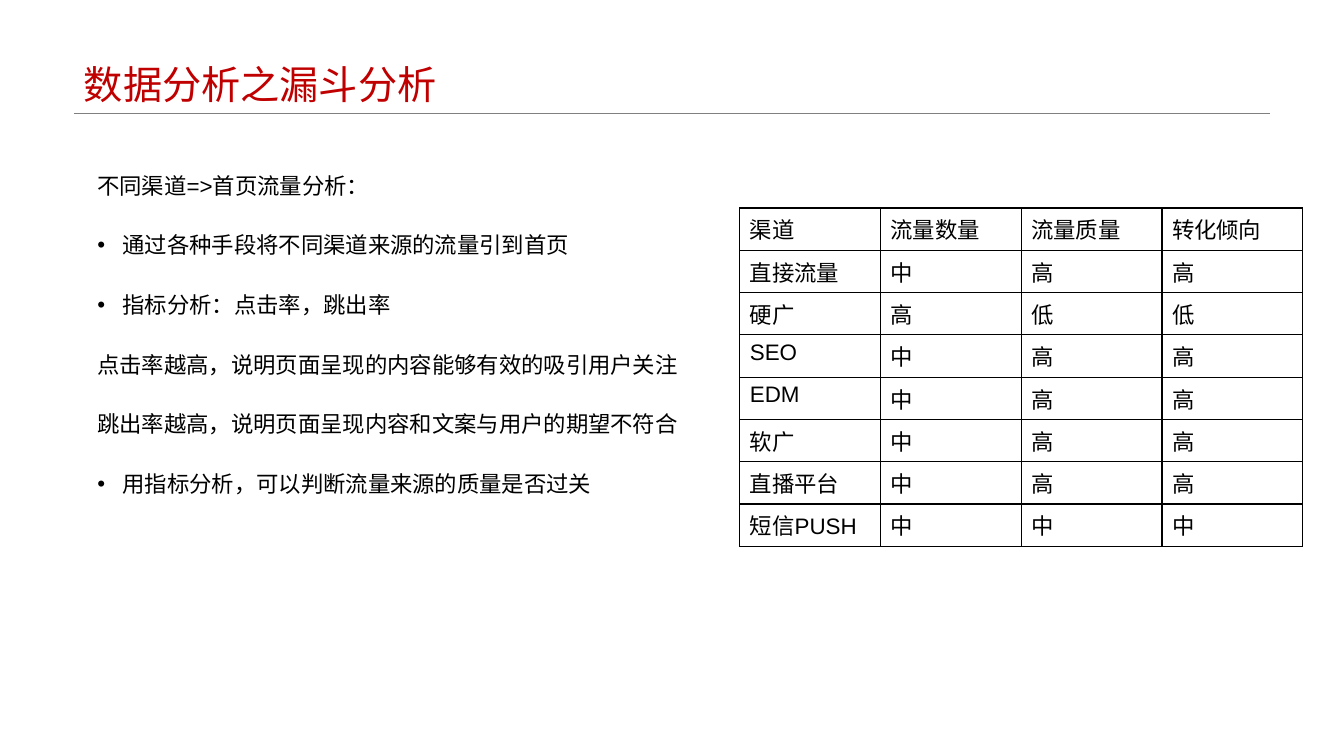
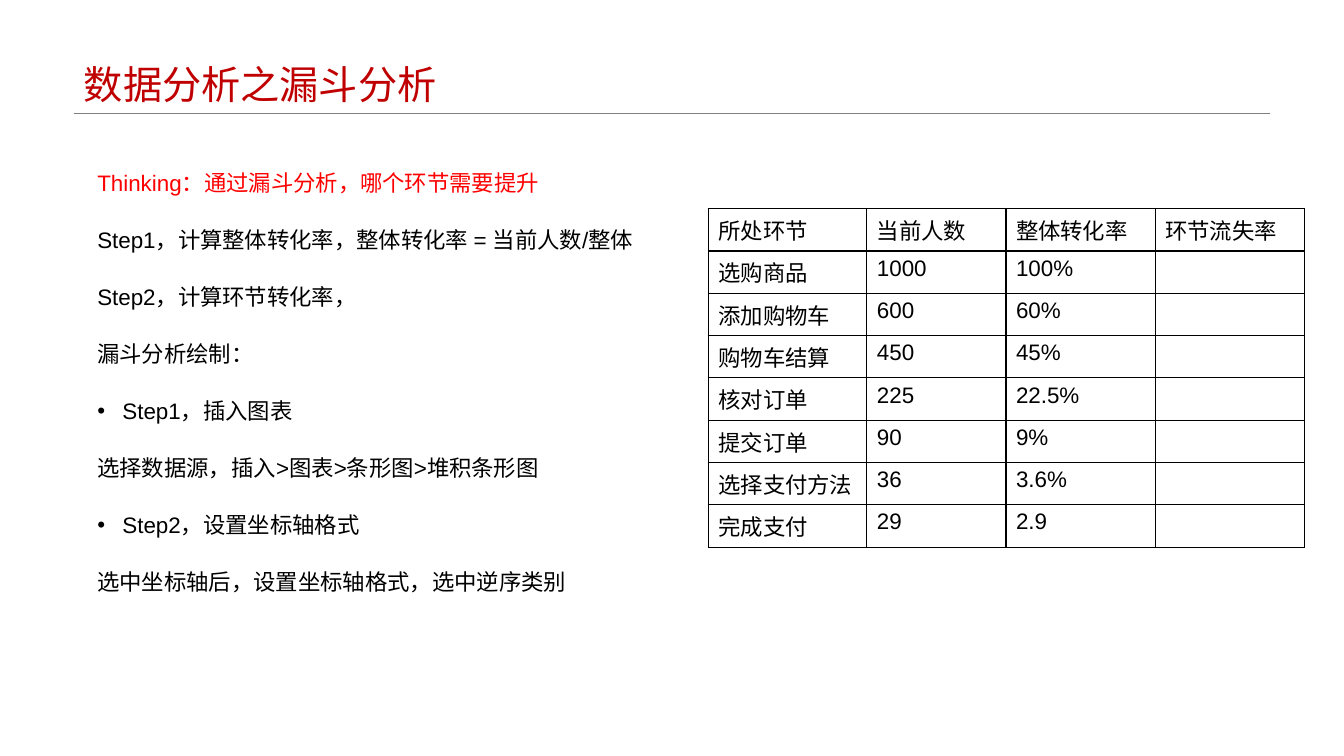
"""Build two slides on funnel analysis, each with notes on the left and a table on the right."""
from dataclasses import dataclass

from lxml.etree import SubElement
from pptx import Presentation
from pptx.dml.color import RGBColor
from pptx.enum.shapes import MSO_CONNECTOR as Connector
from pptx.enum.text import MSO_ANCHOR as Anchor, MSO_AUTO_SIZE as AutoSize, PP_ALIGN as Align
from pptx.oxml import parse_xml
from pptx.oxml.ns import nsdecls, qn
from pptx.util import Emu, Inches, Pt

SLIDE_WIDTH, SLIDE_HEIGHT = Inches(13.33), Inches(7.5)
TITLE_RED = RGBColor(0xC0, 0x00, 0x00)
QUESTION_RED = RGBColor(0xFF, 0x00, 0x00)
BLACK = RGBColor(0x00, 0x00, 0x00)
RULE_GRAY = RGBColor(0x80, 0x80, 0x80)
LATIN_FONT, CHINESE_FONT = "Arial", "Noto Sans CJK SC"
TITLE_SIZE, TEXT_SIZE = 28, 16
TITLE = "数据分析之漏斗分析"
TITLE_AREA = (5.5, 0, 89, 15)
NOTES_AREA = (6.5, 19.6, 45.9, 60.8)
ROW_HEIGHT = 5.6


@dataclass(frozen=True)
class Note:
    text: str
    bullet: bool = False
    color: RGBColor = BLACK


@dataclass(frozen=True)
class Grid:
    left: float
    top: float
    columns: tuple[float, ...]
    rows: tuple[tuple[str, ...], ...]


@dataclass(frozen=True)
class Page:
    notes: tuple[Note, ...]
    line_spacing: float
    grid: Grid


CHANNELS = Page(
    notes=(
        Note("不同渠道=>首页流量分析："),
        Note("通过各种手段将不同渠道来源的流量引到首页", bullet=True),
        Note("指标分析：点击率，跳出率", bullet=True),
        Note("点击率越高，说明页面呈现的内容能够有效的吸引用户关注"),
        Note("跳出率越高，说明页面呈现内容和文案与用户的期望不符合"),
        Note("用指标分析，可以判断流量来源的质量是否过关", bullet=True),
    ),
    line_spacing=1.7,
    grid=Grid(55.05, 27.5, (10.47,) * 4, (
        ("渠道", "流量数量", "流量质量", "转化倾向"),
        ("直接流量", "中", "高", "高"),
        ("硬广", "高", "低", "低"),
        ("SEO", "中", "高", "高"),
        ("EDM", "中", "高", "高"),
        ("软广", "中", "高", "高"),
        ("直播平台", "中", "高", "高"),
        ("短信PUSH", "中", "中", "中"),
    )),
)

FUNNEL_STEPS = Page(
    notes=(
        Note("Thinking：通过漏斗分析，哪个环节需要提升", color=QUESTION_RED),
        Note("Step1，计算整体转化率，整体转化率 = 当前人数/整体"),
        Note("Step2，计算环节转化率，"),
        Note("漏斗分析绘制："),
        Note("Step1，插入图表", bullet=True),
        Note("选择数据源，插入>图表>条形图>堆积条形图"),
        Note("Step2，设置坐标轴格式", bullet=True),
        Note("选中坐标轴后，设置坐标轴格式，选中逆序类别"),
    ),
    line_spacing=1.6,
    grid=Grid(52.7, 27.6, (11.8, 10.35, 11.1, 11.1), (
        ("所处环节", "当前人数", "整体转化率", "环节流失率"),
        ("选购商品", "1000", "100%", ""),
        ("添加购物车", "600", "60%", ""),
        ("购物车结算", "450", "45%", ""),
        ("核对订单", "225", "22.5%", ""),
        ("提交订单", "90", "9%", ""),
        ("选择支付方法", "36", "3.6%", ""),
        ("完成支付", "29", "2.9", ""),
    )),
)


def across(percent: float) -> Emu:
    return Emu(round(SLIDE_WIDTH * percent / 100))


def down(percent: float) -> Emu:
    return Emu(round(SLIDE_HEIGHT * percent / 100))


def place(area: tuple[float, float, float, float]) -> tuple[Emu, Emu, Emu, Emu]:
    left, top, width, height = area
    return across(left), down(top), across(width), down(height)


def apply_format(target, values: dict) -> None:
    for name, value in values.items():
        setattr(target, name, value)


def write(paragraph, text: str, size: int = TEXT_SIZE, color: RGBColor = BLACK) -> None:
    run = paragraph.add_run()
    run.text = text
    run.font.color.rgb = color
    apply_format(run.font, {"size": Pt(size), "name": LATIN_FONT, "bold": False})
    SubElement(run.font._element, qn("a:ea")).set("typeface", CHINESE_FONT)


def add_heading(slide) -> None:
    heading = slide.shapes.title
    left, top, width, height = place(TITLE_AREA)
    apply_format(heading, {"left": left, "top": top, "width": width, "height": height})
    apply_format(heading.text_frame, {
        "vertical_anchor": Anchor.BOTTOM, "word_wrap": True, "auto_size": AutoSize.NONE})
    paragraph = heading.text_frame.paragraphs[0]
    apply_format(paragraph, {"alignment": Align.LEFT, "line_spacing": 0.9})
    write(paragraph, TITLE, TITLE_SIZE, TITLE_RED)

    rule = slide.shapes.add_connector(
        Connector.STRAIGHT, left, top + height, left + width, top + height)
    rule.line.color.rgb = RULE_GRAY
    rule.line.width = Pt(0.25)
    SubElement(rule._element.spPr, qn("a:effectLst"))


def add_bullet(paragraph) -> None:
    properties = paragraph._p.get_or_add_pPr()
    indent = Inches(0.25)
    properties.set("marL", str(indent))
    properties.set("indent", str(-indent))
    SubElement(properties, qn("a:buFont")).set("typeface", LATIN_FONT)
    SubElement(properties, qn("a:buChar")).set("char", "•")


def add_notes(slide, page: Page) -> None:
    frame = slide.shapes.add_textbox(*place(NOTES_AREA)).text_frame
    frame.word_wrap = True
    for index, note in enumerate(page.notes):
        paragraph = frame.add_paragraph() if index else frame.paragraphs[0]
        apply_format(paragraph, {"line_spacing": page.line_spacing, "space_before": Pt(10)})
        if note.bullet:
            add_bullet(paragraph)
        write(paragraph, note.text, color=note.color)


def add_borders(cell) -> None:
    properties = cell._tc.get_or_add_tcPr()
    for position, side in enumerate(("lnL", "lnR", "lnT", "lnB")):
        properties.insert(position, parse_xml(
            f'<a:{side} {nsdecls("a")} w="{Pt(1)}"><a:solidFill>'
            f'<a:srgbClr val="{BLACK}"/></a:solidFill></a:{side}>'))


def add_grid(slide, grid: Grid) -> None:
    area = (grid.left, grid.top, sum(grid.columns), ROW_HEIGHT * len(grid.rows))
    table = slide.shapes.add_table(len(grid.rows), len(grid.columns), *place(area)).table
    apply_format(table, {"first_row": False, "horz_banding": False})
    for column, width in zip(table.columns, grid.columns):
        column.width = across(width)
    for row, texts in zip(table.rows, grid.rows):
        row.height = down(ROW_HEIGHT)
        for cell, text in zip(row.cells, texts):
            cell.fill.background()
            add_borders(cell)
            if text:
                write(cell.text_frame.paragraphs[0], text)


def main() -> None:
    deck = Presentation()
    apply_format(deck, {"slide_width": SLIDE_WIDTH, "slide_height": SLIDE_HEIGHT})
    title_only = deck.slide_layouts.get_by_name("Title Only")
    for page in (CHANNELS, FUNNEL_STEPS):
        slide = deck.slides.add_slide(title_only)
        add_heading(slide)
        add_notes(slide, page)
        add_grid(slide, page.grid)
    deck.save("out.pptx")


if __name__ == "__main__":
    main()
